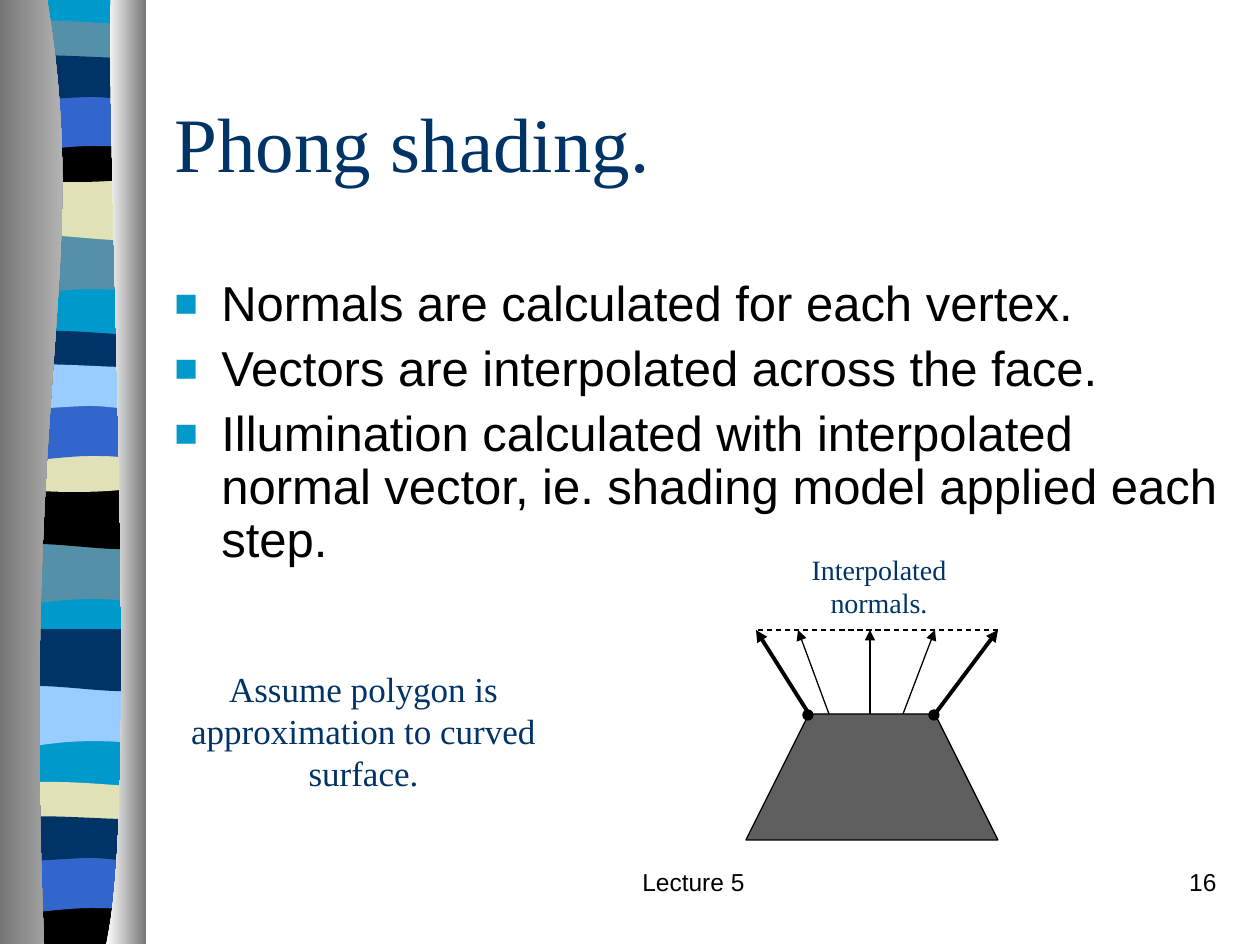
from lxml import etree
from pptx import Presentation
from pptx.dml.color import RGBColor as RGB
from pptx.enum.dml import MSO_LINE
from pptx.enum.shapes import MSO_CONNECTOR, MSO_SHAPE as SHP
from pptx.enum.text import MSO_ANCHOR, MSO_AUTO_SIZE, PP_ALIGN as AL
from pptx.oxml.ns import qn
from pptx.util import Emu, Pt

SCALE = 914400 / 126
FINE = 100
C = {
    "navy": "003366", "cyan": "0099CC", "teal": "5490A8", "blue": "3366CC",
    "sky": "99CCFF", "sand": "E1E1B7", "black": "000000", "face": "5F5F5F",
    "dark": "767676", "silver": "D0D0D0", "white": "FFFFFF",
}


def px(*vals):
    return [Emu(round(v * SCALE)) for v in vals]


def write(sp, text, font, size, color, align):
    tf = sp.text_frame
    tf.word_wrap = True
    tf.auto_size = MSO_AUTO_SIZE.NONE
    tf.text = text
    for p in tf.paragraphs:
        p.alignment = align
        for r in p.runs:
            r.font.name = font
            r.font.size = Pt(size)
            r.font.color.rgb = RGB.from_string(C[color])
    return tf


prs = Presentation()
prs.slide_width, prs.slide_height = px(1260, 945)
s = prs.slides.add_slide(prs.slide_layouts[5])

WAVES = {
    "swell": [[(144, 233)], [(144, 292)], [(49, 282), (30, 302), (7, 292)], [(7, 233)]],
    "slope": [[(144, 178)], [(144, 237)], [(121, 247), (49, 229), (7, 237)], [(7, 178)]],
    "dip": [[(144, 26)], [(144, 57)], [(121, 62), (30, 62), (7, 57)], [(7, 26)],
            [(15, 20), (37, 21), (59, 21)], [(82, 21), (126, 25), (144, 26)]],
    "bowl": [[(144, 136)], [(144, 176)], [(121, 184), (30, 184), (7, 176)], [(7, 136)],
             [(91, 142), (115, 136), (144, 136)]],
    "arch": [[(144, 93)], [(144, 152)], [(122, 146), (113, 146), (91, 146)],
             [(68, 146), (28, 152), (7, 152)], [(7, 93)]],
    "step": [[(144, 58)], [(144, 97)], [(135, 103), (113, 97), (91, 97)],
             [(68, 97), (21, 103), (7, 97)], [(7, 58)],
             [(26, 52), (100, 58), (122, 58)], [(145, 58), (139, 58), (144, 58)]],
    "foot": [[(144, 136)], [(144, 183)], [(7, 183)], [(7, 136)],
             [(91, 142), (115, 136), (144, 136)]],
    "base": [[(144, -1)], [(144, 941)], [(7, 941)], [(7, -1)]],
    "left": [[(47, -1)], [(92, 272), (21, 373), (44, 944)], [(0, 944)], [(0, -1)]],
    "right": [[(111, -1)], [(106, 158), (140, 814), (106, 944)], [(146, 944)], [(146, -1)]],
}
RIBBON = [
    ("base", 0, 0, ["cyan"]),
    ("swell", 0, 0, ["teal"]), ("slope", 0, 0, ["sand"]), ("dip", 0, 0, ["teal"]),
    ("bowl", 0, 0, ["black"]), ("arch", 0, 0, ["blue"]), ("step", 0, 0, ["navy"]),
    ("swell", -1, 310, ["teal"]), ("slope", -1, 309, ["black"]), ("dip", -1, 310, ["navy"]),
    ("bowl", -1, 310, ["sand"]), ("arch", -1, 310, ["blue"]), ("step", -1, 309, ["sky"]),
    ("swell", 0, 452, ["sky"]), ("slope", 0, 451, ["navy"]), ("dip", -1, 761, ["sand"]),
    ("foot", -1, 761, ["black"]), ("arch", -1, 762, ["blue"]), ("step", -1, 761, ["navy"]),
    ("left", 0, 0, ["dark", "silver"]), ("right", 0, 0, ["white", "dark"]),
]
for wave, dx, dy, colors in RIBBON:
    segments = WAVES[wave]
    points = [((x + dx) * FINE, (y + dy) * FINE) for seg in segments for x, y in seg]
    fb = s.shapes.build_freeform(*points[0], scale=SCALE / FINE)
    fb.add_line_segments(points[1:])
    sp = fb.convert_to_shape()
    steps = iter(list(sp._element.iter(qn("a:lnTo"))))
    for seg in segments[1:]:
        parts = [next(steps) for point in seg]
        if len(parts) == 3:
            curve = etree.Element(qn("a:cubicBezTo"))
            parts[0].addprevious(curve)
            for part in parts:
                curve.append(part[0])
                part.getparent().remove(part)
    sp.shadow.inherit = False
    sp.line.fill.background()
    if len(colors) == 1:
        sp.fill.solid()
        sp.fill.fore_color.rgb = RGB.from_string(C[colors[0]])
    else:
        sp.fill.gradient()
        sp.fill.gradient_angle = 0
        for stop, color in zip(sp.fill.gradient_stops, colors):
            stop.color.rgb = RGB.from_string(C[color])

title = s.shapes.title
title.left, title.top, title.width, title.height = px(162, 63, 1071, 158)
tf = write(title, "Phong shading.", "Times New Roman", 44, "navy", AL.LEFT)
tf.vertical_anchor = MSO_ANCHOR.MIDDLE

body = s.shapes.add_textbox(*px(162, 273, 1071, 326))
tf = write(body, "Normals are calculated for each vertex.\n"
           "Vectors are interpolated across the face.\n"
           "Illumination calculated with interpolated normal vector, "
           "ie. shading model applied each step.", "Arial", 28, "black", AL.LEFT)
indent = px(47)[0]
for i, p in enumerate(tf.paragraphs):
    p.line_spacing = 0.9
    p.space_before = Pt(7 if i else 0)
    pPr = p._p.get_or_add_pPr()
    pPr.set("marL", str(indent))
    pPr.set("indent", str(-indent))
    color = etree.SubElement(pPr, qn("a:buClr"))
    etree.SubElement(color, qn("a:srgbClr")).set("val", C["cyan"])
    etree.SubElement(pPr, qn("a:buSzPct")).set("val", "80000")
    etree.SubElement(pPr, qn("a:buFont")).set("typeface", "Arial")
    etree.SubElement(pPr, qn("a:buChar")).set("char", "■")

face = s.shapes.add_shape(SHP.TRAPEZOID, *px(746, 714, 252, 126))
face.adjustments[0] = 0.5

for x1, y1, x2, width, arrow in [
    (809, 714, 756, 2.25, True), (935, 714, 998, 2.25, True),
    (998, 630, 756, 0.75, False), (829, 714, 798, 0.75, True),
    (870, 714, 870, 0.75, True), (903, 714, 935, 0.75, True),
]:
    line = s.shapes.add_connector(MSO_CONNECTOR.STRAIGHT, *px(x1, y1, x2, 630))
    line.line.color.rgb = RGB.from_string(C["black"])
    line.line.width = Pt(width)
    if arrow:
        etree.SubElement(line.line._get_or_add_ln(), qn("a:tailEnd")).set("type", "triangle")
    else:
        line.line.dash_style = MSO_LINE.DASH
    etree.SubElement(line._element.spPr, qn("a:effectLst"))

dots = [s.shapes.add_shape(SHP.OVAL, *px(x, 710, 10, 10)) for x in (929, 803)]
for sp, color in [(face, "face")] + [(dot, "black") for dot in dots]:
    sp.shadow.inherit = False
    sp.fill.solid()
    sp.fill.fore_color.rgb = RGB.from_string(C[color])
    sp.line.color.rgb = RGB.from_string(C["black"])
    sp.line.width = Pt(0.75)

for box, text, font, size, color, align in [
    ((799, 546, 160, 81), "Interpolated\nnormals.", "Times New Roman", 16, "navy", AL.CENTER),
    ((126, 661, 475, 139), "Assume polygon is approximation to curved surface.",
     "Times New Roman", 20, "navy", AL.CENTER),
    ((494, 861, 399, 63), "Lecture 5", "Arial", 14, "black", AL.CENTER),
    ((967, 861, 262, 63), "16", "Arial", 14, "black", AL.RIGHT),
]:
    write(s.shapes.add_textbox(*px(*box)), text, font, size, color, align)

prs.save("out.pptx")
